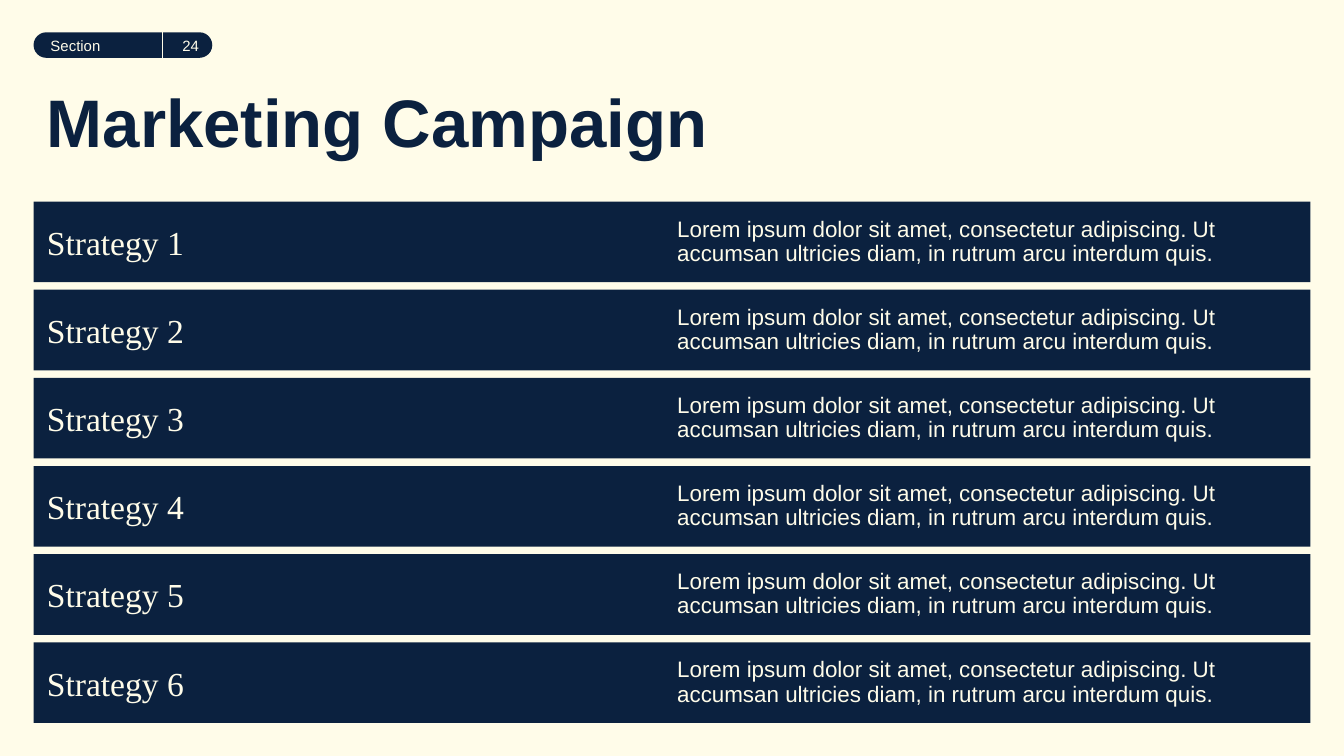
from dataclasses import dataclass
from lxml import etree
from pptx import Presentation
from pptx.dml.color import RGBColor
from pptx.enum import shapes as sh, text as tx
from pptx.oxml.ns import qn
from pptx.util import Inches, Pt

NAVY, CREAM = "0B213F", "FFFCE9"
LEFT, WIDTH = 0.25, 9.5
TOP, LAST, HIGH, COUNT = 1.5, 4.78, 0.6, 6
STEP = (LAST - TOP) / (COUNT - 1)
TAG_TOP, TAG_HIGH, SPLIT = 0.24, 0.19, 1.21
BODY = ("Lorem ipsum dolor sit amet, consectetur adipiscing. "
        "Ut accumsan ultricies diam, in rutrum arcu interdum quis.")


@dataclass
class Style:
    font: str
    size: float
    color: str = CREAM
    bold: bool = False
    align: tx.PP_ALIGN = tx.PP_ALIGN.LEFT
    anchor: tx.MSO_ANCHOR = tx.MSO_ANCHOR.MIDDLE
    space: float = 1.0
    pad: float = 0.1  # top and bottom inset


TITLE = Style("Arial", 36, NAVY, True, anchor=tx.MSO_ANCHOR.TOP)
NAME = Style("Times New Roman", 18)
NOTE = Style("Arial", 12, space=0.9)
TAG = Style("Arial", 8, pad=0)
PAGE = Style("Arial", 8, align=tx.PP_ALIGN.RIGHT, pad=0)


def paint(fill, color: str) -> None:
    """Set a fill to one solid colour."""
    fill.solid()
    fill.fore_color.rgb = RGBColor.from_string(color)


def write(shape, words: str, style: Style) -> None:
    frame = shape.text_frame
    frame.text = words
    frame.word_wrap = True
    frame.vertical_anchor = style.anchor
    frame.margin_left = frame.margin_right = Inches(0.1)
    frame.margin_top = frame.margin_bottom = Inches(style.pad)
    para = frame.paragraphs[0]
    para.alignment = style.align
    para.line_spacing = style.space
    font = para.runs[0].font
    font.name, font.size, font.bold = style.font, Pt(style.size), style.bold
    paint(font.fill, style.color)


def label(slide, x: float, y: float, w: float, h: float,
          words: str, style: Style) -> None:
    box = slide.shapes.add_textbox(Inches(x), Inches(y), Inches(w), Inches(h))
    write(box, words, style)


def block(slide, kind: sh.MSO_SHAPE, x: float, y: float, w: float, h: float):
    shape = slide.shapes.add_shape(
        kind, Inches(x), Inches(y), Inches(w), Inches(h))
    shape.shadow.inherit = False
    paint(shape.fill, NAVY)
    shape.line.fill.background()
    return shape


def rule(slide, x: float, y: float, h: float) -> None:
    line = slide.shapes.add_connector(
        sh.MSO_CONNECTOR.STRAIGHT, Inches(x), Inches(y), Inches(x), Inches(y + h))
    line.line.width = Pt(0.75)
    paint(line.line.fill, CREAM)
    etree.SubElement(line._element.spPr, qn("a:effectLst"))


def main() -> None:
    deck = Presentation()
    deck.slide_width, deck.slide_height = Inches(10), Inches(10 * 9 / 16)
    slide = deck.slides.add_slide(deck.slide_layouts[6])
    paint(slide.background.fill, CREAM)

    # Title
    label(slide, LEFT, 0.5, 6.25, 0.61, "Marketing Campaign", TITLE)

    # Strategy bars
    for i in range(COUNT):
        y = TOP + i * STEP
        block(slide, sh.MSO_SHAPE.RECTANGLE, LEFT, y, WIDTH, HIGH)
        label(slide, LEFT, y, 4.28, HIGH, f"Strategy {i + 1}", NAME)
        label(slide, 4.94, y, 4.81, HIGH, BODY, NOTE)

    # Section tag with page number
    pill = block(slide, sh.MSO_SHAPE.ROUNDED_RECTANGLE,
                 LEFT, TAG_TOP, 1.33, TAG_HIGH)
    pill.adjustments[0] = 0.5
    write(pill, "Section", TAG)
    label(slide, SPLIT, TAG_TOP, 0.37, TAG_HIGH, "24", PAGE)
    rule(slide, SPLIT, TAG_TOP, TAG_HIGH)

    deck.save("out.pptx")


if __name__ == "__main__":
    main()
